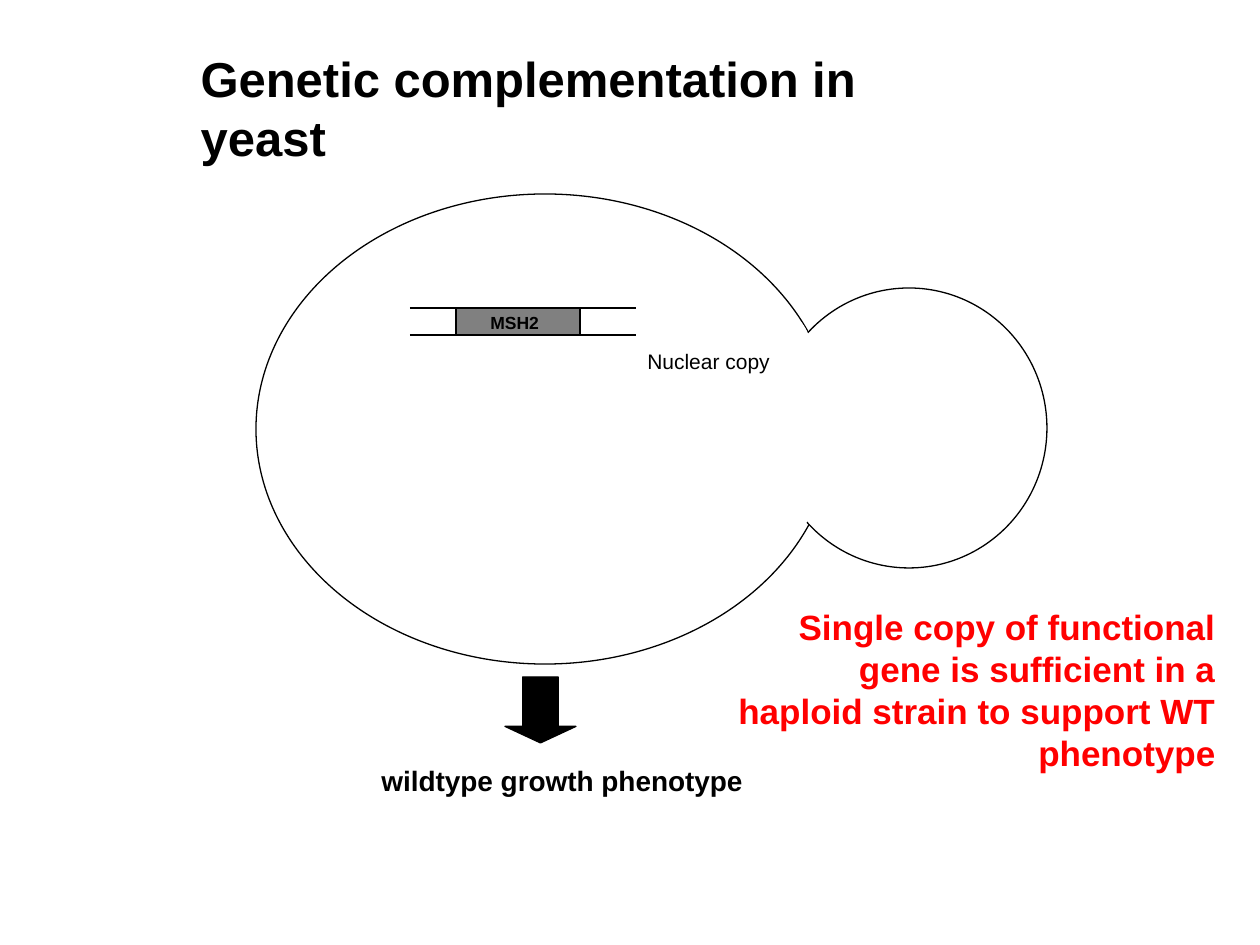
"""Builds the slide on genetic complementation in yeast."""
from dataclasses import dataclass

from lxml import etree
from pptx import Presentation
from pptx import util as u
from pptx.dml.color import RGBColor
from pptx.enum import shapes, text
from pptx.oxml.ns import qn

PX = u.Inches(1) / 126


def px(*lengths):
    return [round(length * PX) for length in lengths]


@dataclass(frozen=True)
class Theme:
    font: str = "Arial"
    ink: str = "000000"
    paper: str = "FFFFFF"
    gene: str = "808080"
    accent: str = "FF0000"
    title: int = 28
    message: int = 20
    outcome: int = 16
    note: int = 12
    label: int = 10
    line: float = 0.75


class SlideBuilder:
    def __init__(self, slide, theme):
        self.slide = slide
        self.theme = theme

    def set_text(self, holder, words, size, color=None, bold=True, wrap=False,
                 align=text.PP_ALIGN.LEFT):
        frame = holder.text_frame
        frame.text = words
        frame.word_wrap = wrap
        frame.auto_size = text.MSO_AUTO_SIZE.NONE
        frame.vertical_anchor = text.MSO_ANCHOR.TOP
        paragraph = frame.paragraphs[0]
        paragraph.alignment = align
        font = paragraph.font
        font.name, font.size, font.bold = self.theme.font, u.Pt(size), bold
        font.color.rgb = RGBColor.from_string(color or self.theme.ink)

    def title(self, words, *box):
        heading = self.slide.shapes.title
        heading.left, heading.top, heading.width, heading.height = px(*box)
        self.set_text(heading, words, self.theme.title)

    def label(self, words, *box, **style):
        self.set_text(self.slide.shapes.add_textbox(*px(*box)), words, **style)

    def shape(self, kind, *box, fill, line=None):
        figure = self.slide.shapes.add_shape(kind, *px(*box))
        figure.shadow.inherit = False
        figure.fill.solid()
        figure.fill.fore_color.rgb = RGBColor.from_string(fill)
        self.outline(figure, line or self.theme.ink)
        return figure

    def line(self, *ends):
        strand = self.slide.shapes.add_connector(
            shapes.MSO_CONNECTOR.STRAIGHT, *px(*ends))
        self.outline(strand, self.theme.ink)
        etree.SubElement(strand.element.spPr, qn("a:effectLst"))

    def outline(self, figure, color):
        figure.line.color.rgb = RGBColor.from_string(color)
        figure.line.width = u.Pt(self.theme.line)


def main():
    deck = Presentation()
    deck.slide_width, deck.slide_height = px(1260, 945)
    theme = Theme()
    page = SlideBuilder(deck.slides.add_slide(deck.slide_layouts[5]), theme)
    kinds = shapes.MSO_SHAPE

    page.title("Genetic complementation in yeast", 188, 42, 819, 72)

    mother_cell = (256, 194, 578, 470)
    bud = (771, 288, 276, 280)
    for cell in (mother_cell, bud):
        page.shape(kinds.OVAL, *cell, fill=theme.paper)
    page.shape(kinds.OVAL, 760, 317, 62, 219,
               fill=theme.paper, line=theme.paper)

    gene_top, gene_height = 308, 27
    for strand_y in (gene_top, gene_top + gene_height):
        page.line(410, strand_y, 636, strand_y)
    page.shape(kinds.RECTANGLE, 456, gene_top, 124, gene_height,
               fill=theme.gene)
    page.label("MSH2", 478, 306, 74, 34, size=theme.label)
    page.label("Nuclear copy", 635, 342, 154, 38, size=theme.note, bold=False)

    growth_arrow = page.shape(kinds.DOWN_ARROW, 505, 677, 71, 66,
                              fill=theme.ink)
    growth_arrow.adjustments[1] = 0.25
    page.label("wildtype growth phenotype", 369, 757, 387, 47,
               size=theme.outcome)
    page.label("Single copy of functional gene is sufficient in a haploid "
               "strain to support WT phenotype", 724, 599, 504, 181,
               size=theme.message, color=theme.accent, wrap=True,
               align=text.PP_ALIGN.RIGHT)

    deck.save("out.pptx")


if __name__ == "__main__":
    main()
